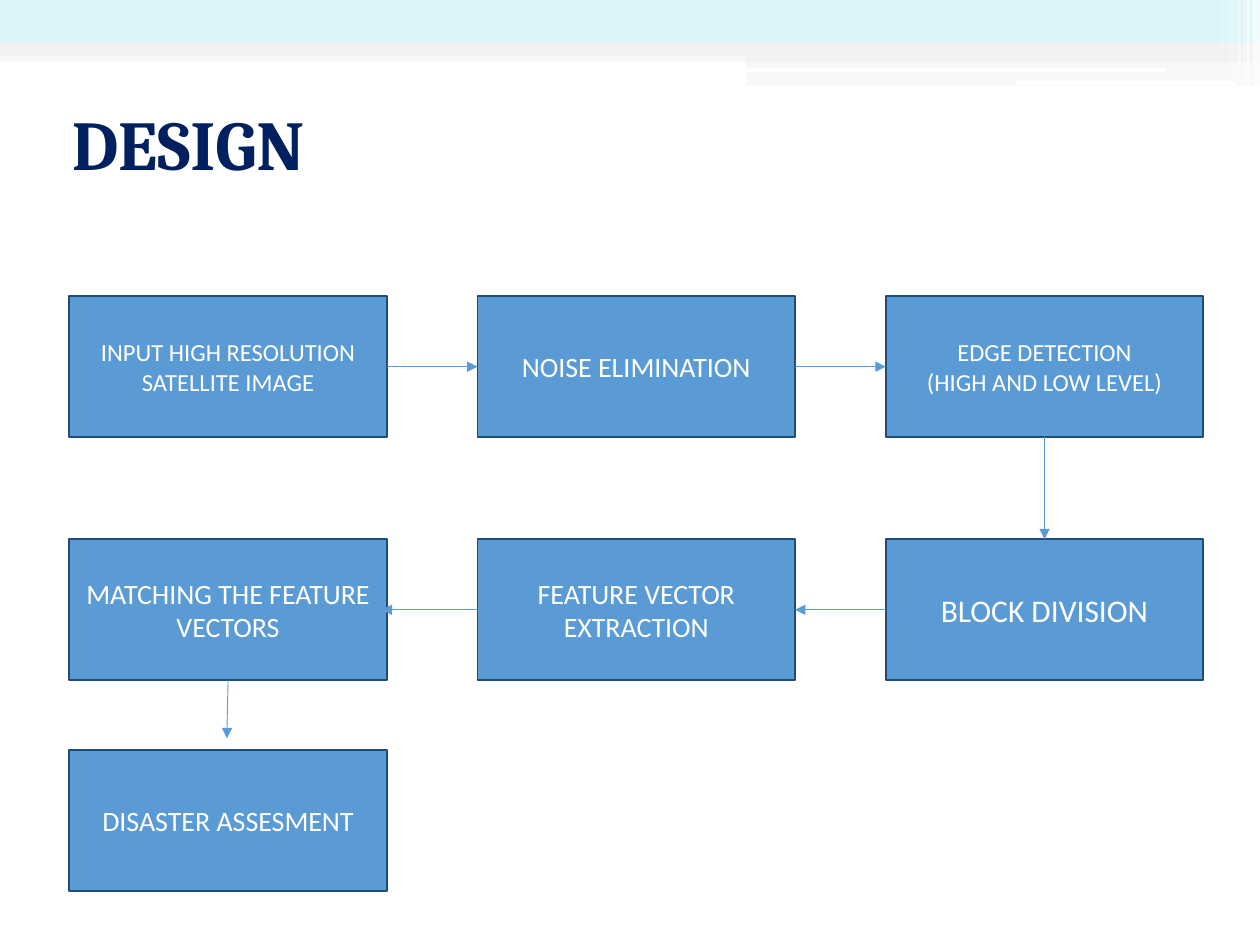
from dataclasses import dataclass

from pptx import Presentation
from pptx import util as u
from pptx.dml.color import RGBColor
from pptx.enum import shapes, text
from pptx.oxml.ns import qn
from lxml import etree


@dataclass(frozen=True)
class Theme:
    sky: str = "DBF5F9"
    mist: str = "F2F2F2"
    white: str = "FFFFFF"
    navy: str = "002060"
    blue: str = "5B9BD5"
    border: str = "1F4D78"
    title_font: str = "Cambria"
    body_font: str = "Calibri"
    title_size: int = 40
    small: int = 14
    medium: int = 16
    large: int = 18


THEME = Theme()
TOP, LEFT, BOTTOM, RIGHT = range(4)
COLUMNS = [0.55 + 3.24 * index for index in range(3)]
ROWS = [2.35, 4.28, 5.95]
BOX_SIZE = (2.52, 1.12)

BANDS = [
    (0, 0.4, 10, 0.09, THEME.mist, 50),
    (0, 0, 10, 0.34, THEME.sky, 100),
    (0, 0.34, 10, 0.1, THEME.mist, 100),
    (5.92, 0.39, 4.08, 0.1, THEME.mist, 100),
    (5.92, 0.48, 4.08, 0.2, THEME.mist, 50),
]
HIGHLIGHTS = [(5.91, 0.54, 3.35, 0.03), (8.06, 0.64, 1.75, 0.04)]
STRIPES = [
    (9.94, 0.06, 0.68, 65),
    (9.89, 0.03, 0.68, 65),
    (9.87, 0.01, 0.68, 60),
    (9.82, 0.03, 0.68, 40),
    (9.75, 0.06, 0.64, 20),
    (9.7, 0.01, 0.64, 30),
]
STEPS = {
    "input": (0, 0, ["INPUT HIGH RESOLUTION SATELLITE IMAGE"], THEME.small),
    "noise": (1, 0, ["NOISE ELIMINATION"], THEME.medium),
    "edges": (2, 0, ["EDGE DETECTION", "(HIGH AND LOW LEVEL)"], THEME.small),
    "blocks": (2, 1, ["BLOCK DIVISION"], THEME.large),
    "features": (1, 1, ["FEATURE VECTOR EXTRACTION"], THEME.medium),
    "matching": (0, 1, ["MATCHING THE FEATURE VECTORS"], THEME.medium),
    "disaster": (0, 2, ["DISASTER ASSESMENT"], THEME.medium),
}
JOINED_ARROWS = [
    ("input", RIGHT, "noise", LEFT),
    ("noise", RIGHT, "edges", LEFT),
    ("edges", BOTTOM, "blocks", TOP),
    ("blocks", LEFT, "features", RIGHT),
]
OPEN_ARROWS = [
    ("features", LEFT, (3.03, 4.84)),
    ("matching", BOTTOM, (1.8, 5.86)),
]


class SlideBuilder:
    def __init__(self, slide, theme):
        self.slide = slide
        self.theme = theme

    def format(self, target, values):
        for name, value in values.items():
            setattr(target, name, value)

    def font(self, font, name, size, color, bold=False):
        self.format(font, {"name": name, "size": u.Pt(size), "bold": bold})
        font.color.rgb = RGBColor.from_string(color)

    def title(self, wording, left, top, width, height):
        title = self.slide.shapes.title
        self.format(title, {
            "left": u.Inches(left), "top": u.Inches(top),
            "width": u.Inches(width), "height": u.Inches(height),
        })
        frame = title.text_frame
        self.format(frame, {
            "text": wording,
            "auto_size": text.MSO_AUTO_SIZE.NONE,
            "vertical_anchor": text.MSO_ANCHOR.MIDDLE,
        })
        paragraph = frame.paragraphs[0]
        paragraph.alignment = text.PP_ALIGN.LEFT
        self.font(paragraph.runs[0].font, self.theme.title_font,
                  self.theme.title_size, self.theme.navy, True)
        title.element.getparent().append(title.element)

    def panel(self, left, top, width, height, color, opacity=100,
              kind=shapes.MSO_SHAPE.RECTANGLE):
        shape = self.slide.shapes.add_shape(
            kind, u.Inches(left), u.Inches(top), u.Inches(width), u.Inches(height))
        shape.shadow.inherit = False
        shape.fill.solid()
        shape.fill.fore_color.rgb = RGBColor.from_string(color)
        shape.line.fill.background()
        if opacity < 100:
            fill_color = shape.element.spPr.find(qn("a:solidFill"))[0]
            etree.SubElement(fill_color, qn("a:alpha"), val=str(opacity * 1000))
        return shape

    def box(self, column, row, lines, size):
        shape = self.panel(COLUMNS[column], ROWS[row], *BOX_SIZE, self.theme.blue)
        shape.line.color.rgb = RGBColor.from_string(self.theme.border)
        shape.line.width = u.Pt(1)
        frame = shape.text_frame
        self.format(frame, {
            "text": "\n".join(lines),
            "word_wrap": True,
            "vertical_anchor": text.MSO_ANCHOR.MIDDLE,
        })
        for paragraph in frame.paragraphs:
            paragraph.alignment = text.PP_ALIGN.CENTER
            self.font(paragraph.runs[0].font, self.theme.body_font, size, self.theme.white)
        return shape

    def arrow(self, start, start_side, end=(0, 0)):
        x, y = (u.Inches(length) for length in end)
        connector = self.slide.shapes.add_connector(
            shapes.MSO_CONNECTOR.STRAIGHT, x, y, x, y)
        connector.begin_connect(start, start_side)
        connector.line.color.rgb = RGBColor.from_string(self.theme.blue)
        connector.line.width = u.Pt(0.5)
        properties = connector.element.spPr
        etree.SubElement(properties.find(qn("a:ln")), qn("a:tailEnd"), type="triangle")
        etree.SubElement(properties, qn("a:effectLst"))
        return connector


def main():
    presentation = Presentation()
    presentation.slide_width = u.Inches(10)
    presentation.slide_height = u.Inches(7.5)
    slide = presentation.slides.add_slide(presentation.slide_layouts[5])
    builder = SlideBuilder(slide, THEME)

    for band in BANDS:
        builder.panel(*band)
    for highlight in HIGHLIGHTS:
        builder.panel(*highlight, THEME.white, kind=shapes.MSO_SHAPE.ROUNDED_RECTANGLE)
    for left, width, height, opacity in STRIPES:
        builder.panel(left, 0, width, height, THEME.white, opacity)
    builder.title("DESIGN", 0.47, 0.55, 9, 1.17)

    boxes = {name: builder.box(*step) for name, step in STEPS.items()}
    for start, start_side, end, end_side in JOINED_ARROWS:
        builder.arrow(boxes[start], start_side).end_connect(boxes[end], end_side)
    for start, start_side, end in OPEN_ARROWS:
        builder.arrow(boxes[start], start_side, end)

    presentation.save("out.pptx")


if __name__ == "__main__":
    main()
